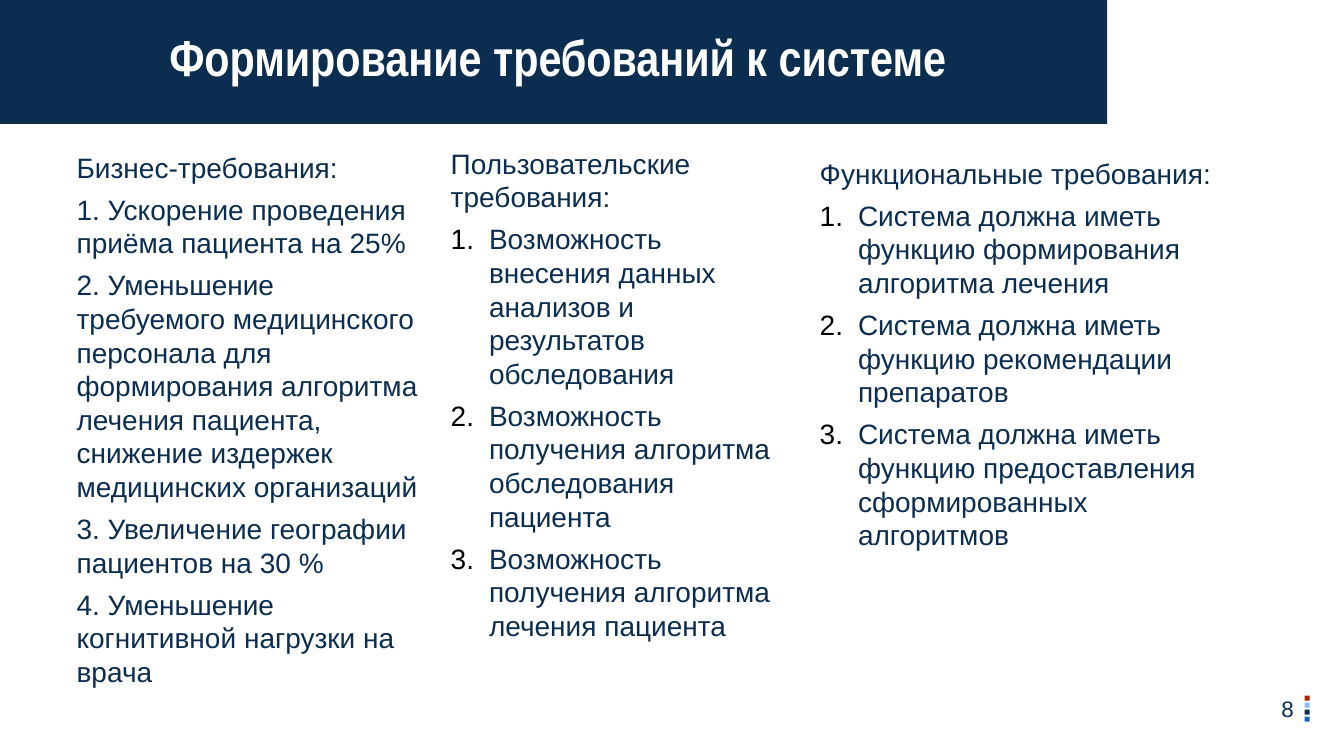
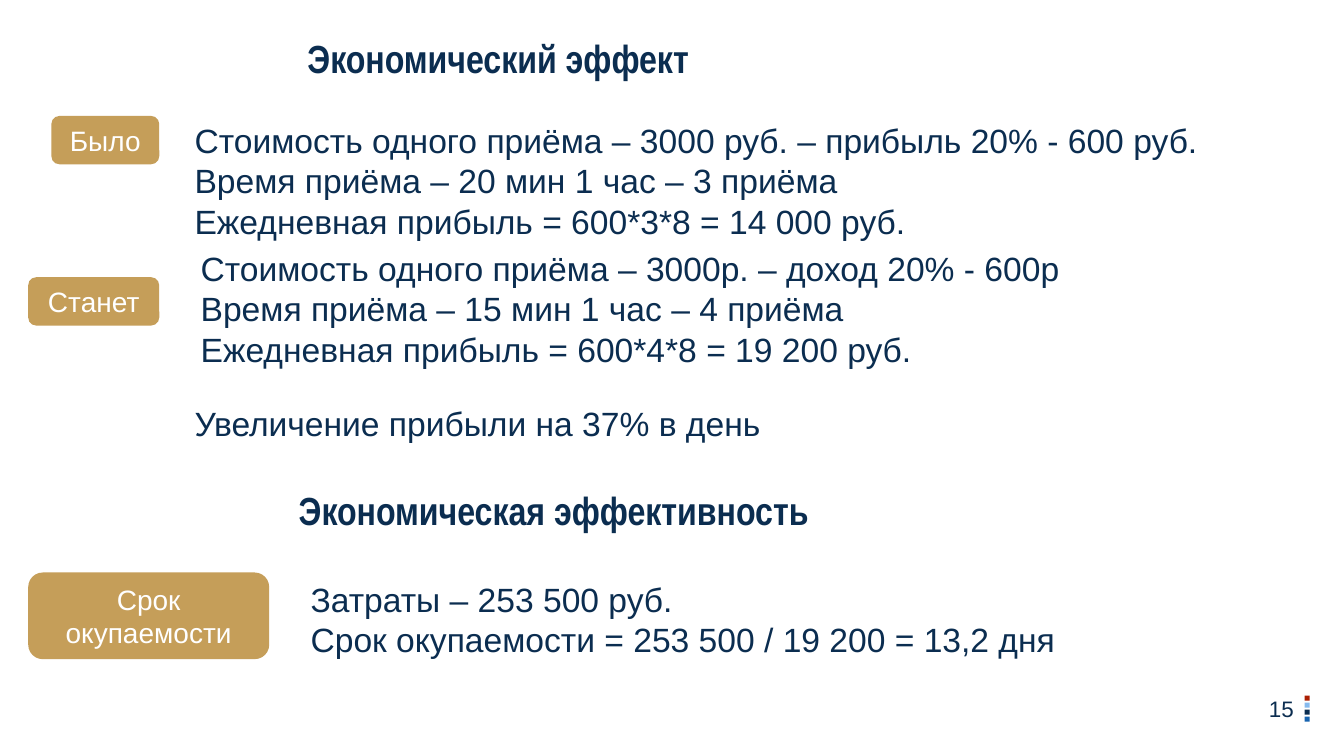
"""Build two slides: system requirements and economic effect."""
from lxml.etree import SubElement
from pptx import Presentation
from pptx.dml.color import RGBColor
from pptx.enum.shapes import MSO_SHAPE
from pptx.enum.text import MSO_ANCHOR, MSO_AUTO_SIZE, PP_ALIGN
from pptx.oxml.ns import qn
from pptx.util import Inches, Pt

NAVY, WHITE, GOLD, BLACK = "0B2D50", "FFFFFF", "C59E59", "000000"
MARKER_COLORS = ["AB1F03", "86BAEE", NAVY, "1864B0"]
BAND_WIDTH = 10.98
INDENT = 0.38

REQUIREMENTS = {
    "number": 8,
    "title": ("Формирование требований к системе", (0.66, 0.21, 9.75, 0.71), 36, WHITE),
    "band": (0, 0, BAND_WIDTH, 1.23),
    "size": 20,
    "gap": 6,
    "blocks": [
        ((0.66, 1.44, 3.71, 5.91), False, [
            "Бизнес-требования:",
            "1. Ускорение проведения приёма пациента на 25%",
            "2. Уменьшение требуемого медицинского персонала для формирования "
            "алгоритма лечения пациента, снижение издержек медицинских организаций",
            "3. Увеличение географии пациентов на 30 %",
            "4. Уменьшение когнитивной нагрузки на врача"]),
        ((4.37, 1.4, 3.48, 5.49), True, [
            "Пользовательские требования:",
            "Возможность внесения данных анализов и результатов обследования",
            "Возможность получения алгоритма обследования пациента",
            "Возможность получения алгоритма лечения пациента"]),
        ((8.03, 1.5, 4.17, 4.06), True, [
            "Функциональные требования:",
            "Система должна иметь функцию формирования алгоритма лечения",
            "Система должна иметь функцию рекомендации препаратов",
            "Система должна иметь функцию предоставления сформированных алгоритмов"]),
    ],
}

ECONOMICS = {
    "number": 15,
    "title": ("Экономический эффект", (-0.55, 0.29, BAND_WIDTH, 0.57), 28, NAVY),
    "subtitle": ("Экономическая эффективность", (0, 4.78, BAND_WIDTH, 0.57), 28, NAVY),
    "size": 24,
    "gap": 0,
    "blocks": [
        ((1.83, 1.14, 10.63, 1.31), False, [
            "Стоимость одного приёма – 3000 руб. – прибыль 20% - 600 руб.",
            "Время приёма – 20 мин 1 час – 3 приёма",
            "Ежедневная прибыль = 600*3*8 = 14 000 руб."]),
        ((1.89, 2.41, 10.5, 1.31), False, [
            "Стоимость одного приёма – 3000р. – доход 20% - 600р",
            "Время приёма – 15 мин 1 час – 4 приёма",
            "Ежедневная прибыль = 600*4*8 = 19 200 руб."]),
        ((1.83, 3.95, 10.17, 0.5), False, ["Увеличение прибыли на 37% в день"]),
        ((2.98, 5.69, 8, 0.91), False, [
            "Затраты – 253 500 руб.",
            "Срок окупаемости = 253 500 / 19 200 = 13,2 дня"]),
    ],
    "labels": [
        ("Было", (0.51, 1.15, 1.07, 0.48)),
        ("Станет", (0.28, 2.75, 1.3, 0.48)),
        ("Срок окупаемости", (0.28, 5.68, 2.39, 0.86)),
    ],
}


def color(value):
    return RGBColor.from_string(value)


def inches(box):
    return [Inches(length) for length in box]


def place(shape, box):
    shape.left, shape.top, shape.width, shape.height = inches(box)
    return shape


def set_marker(paragraph, numbered):
    properties = paragraph._p.get_or_add_pPr()
    indent = Inches(INDENT) if numbered else 0
    properties.set("marL", str(indent))
    properties.set("indent", str(-indent))
    if numbered:
        tint = SubElement(properties, qn("a:buClr"))
        SubElement(tint, qn("a:srgbClr"), val=BLACK)
        SubElement(properties, qn("a:buFont"), typeface="Arial")
        SubElement(properties, qn("a:buAutoNum"), type="arabicPeriod")
    else:
        SubElement(properties, qn("a:buNone"))


def write(shape, lines, size=20, ink=NAVY, font="Arial", bold=False, gap=0,
          align=PP_ALIGN.LEFT, anchor=MSO_ANCHOR.TOP, numbered=False):
    frame = shape.text_frame
    frame.word_wrap = True
    frame.auto_size = MSO_AUTO_SIZE.NONE
    frame.vertical_anchor = anchor
    for position, line in enumerate(lines):
        paragraph = frame.add_paragraph() if position else frame.paragraphs[0]
        set_marker(paragraph, numbered and position > 0)
        paragraph.alignment = align
        paragraph.space_before = Pt(gap if position else 0)
        run = paragraph.add_run()
        run.text = line
        run.font.size, run.font.name, run.font.bold = Pt(size), font, bold
        run.font.color.rgb = color(ink)


def write_heading(shape, text, size, ink):
    write(shape, [text], size=size, ink=ink, font="Arial Narrow", bold=True,
          align=PP_ALIGN.CENTER)


def add_filled(slide, preset, box, fill):
    shape = slide.shapes.add_shape(preset, *inches(box))
    shape.shadow.inherit = False
    shape.fill.solid()
    shape.fill.fore_color.rgb = color(fill)
    shape.line.fill.background()
    return shape


def add_footer(slide, number):
    number_box = slide.shapes.add_textbox(*inches((12.39, 6.83, 0.54, 0.4)))
    write(number_box, [str(number)], size=16, align=PP_ALIGN.RIGHT,
          anchor=MSO_ANCHOR.MIDDLE)
    for row, fill in enumerate(MARKER_COLORS):
        add_filled(slide, MSO_SHAPE.RECTANGLE,
                   (12.94, 6.9 + 0.07 * row, 0.05, 0.05), fill)


def build_slide(deck, content):
    slide = deck.slides.add_slide(deck.slide_layouts.get_by_name("Comparison"))
    title, *bodies = slide.placeholders
    if "band" in content:
        band = add_filled(slide, MSO_SHAPE.RECTANGLE, content["band"], NAVY)
        slide.shapes._spTree.insert(2, band._element)
    text, box, size, ink = content["title"]
    write_heading(place(title, box), text, size, ink)
    blocks = content["blocks"]
    for body, (box, numbered, lines) in zip(bodies, blocks):
        write(place(body, box), lines, size=content["size"], gap=content["gap"],
              numbered=numbered)
    for unused in bodies[len(blocks):]:
        unused._element.getparent().remove(unused._element)
    for text, box in content.get("labels", []):
        label = add_filled(slide, MSO_SHAPE.ROUNDED_RECTANGLE, box, GOLD)
        write(label, [text], ink=WHITE, align=PP_ALIGN.CENTER,
              anchor=MSO_ANCHOR.MIDDLE)
    if "subtitle" in content:
        text, box, size, ink = content["subtitle"]
        write_heading(slide.shapes.add_textbox(*inches(box)), text, size, ink)
    add_footer(slide, content["number"])


def main():
    deck = Presentation()
    deck.slide_width, deck.slide_height = Inches(13.33), Inches(7.5)
    for content in (REQUIREMENTS, ECONOMICS):
        build_slide(deck, content)
    deck.save("out.pptx")


if __name__ == "__main__":
    main()
